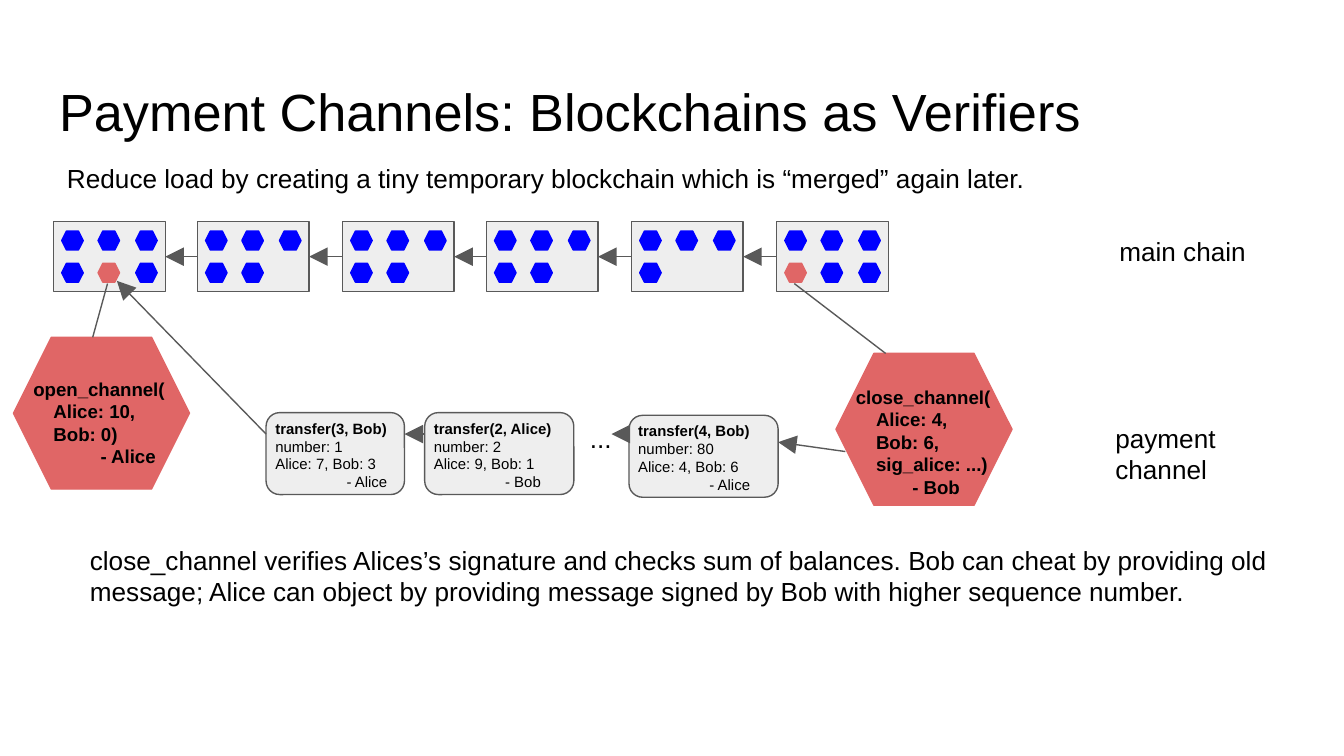
from dataclasses import dataclass
from lxml.etree import SubElement
from pptx import Presentation
from pptx.dml.color import RGBColor
from pptx.enum.shapes import MSO_CONNECTOR, MSO_SHAPE
from pptx.enum.text import MSO_ANCHOR, MSO_AUTO_SIZE, PP_ALIGN
from pptx.oxml.ns import qn
from pptx.util import Pt

SCALE = 9144


@dataclass(frozen=True)
class Theme:
    """Colours, font and type sizes of the slide."""
    ink: str = "000000"
    edge: str = "595959"
    pale: str = "EEEEEE"
    blue: str = "0000FF"
    red: str = "E06666"
    face: str = "Arial"
    head: int = 28
    body: int = 14
    call: int = 10
    small: int = 8
    rule: float = 0.75


THEME = Theme()


def px(n):
    """Turn px into EMU."""
    return n * SCALE


def style(item, form):
    """Set each attribute named in a dict of format values."""
    for name, value in form.items():
        setattr(item, name, value)


def write(frame, rows, size, bold=0):
    """Fill a frame with (text, indent) rows, the first few in bold."""
    pad = px(10)
    style(frame, dict(word_wrap=True, auto_size=MSO_AUTO_SIZE.NONE,
                      vertical_anchor=MSO_ANCHOR.TOP, margin_left=pad,
                      margin_top=pad, margin_right=pad, margin_bottom=pad))
    for i, (text, indent) in enumerate(rows):
        para = frame.add_paragraph() if i else frame.paragraphs[0]
        style(para, dict(text=text, alignment=PP_ALIGN.LEFT))
        if indent:
            para._p.get_or_add_pPr().set("marL", str(px(indent)))
        font = para.runs[0].font
        style(font, dict(size=Pt(size), name=THEME.face, bold=i < bold))
        font.color.rgb = RGBColor.from_string(THEME.ink)


def label(slide, box, rows, size, bold=0):
    """Add a text box."""
    area = slide.shapes.add_textbox(*map(px, box))
    write(area.text_frame, rows, size, bold)


def form(slide, kind, box, fill, edge):
    """Add a flat preset shape."""
    shape = slide.shapes.add_shape(kind, *map(px, box))
    shape.shadow.inherit = False
    shape.fill.solid()
    shape.fill.fore_color.rgb = RGBColor.from_string(fill)
    shape.line.color.rgb = RGBColor.from_string(edge)
    shape.line.width = Pt(THEME.rule)


def link(slide, start, end, arrow=True):
    """Join two points with a line, with an arrowhead at the end if asked."""
    wire = slide.shapes.add_connector(MSO_CONNECTOR.STRAIGHT,
                                      *map(px, start + end))
    wire.line.color.rgb = RGBColor.from_string(THEME.edge)
    wire.line.width = Pt(THEME.rule)
    if arrow:
        SubElement(wire.line._get_or_add_ln(), qn("a:tailEnd"),
                   type="triangle", w="lg", len="lg")
    SubElement(wire._element.spPr, qn("a:effectLst"))


def title(slide, box, text):
    """Move and fill the title placeholder."""
    head = slide.shapes.title
    style(head, dict(zip(("left", "top", "width", "height"), map(px, box))))
    write(head.text_frame, [(text, 0)], THEME.head)


def block(slide, box, count, mark):
    """Draw one block with its grid of transactions."""
    left, top, _, _ = box
    form(slide, MSO_SHAPE.RECTANGLE, box, THEME.pale, THEME.edge)
    for i in range(count):
        row, col = divmod(i, 3)
        tint = THEME.red if i == mark else THEME.blue
        spot = left + 6 + 55 * col // 2, top + 7 + 24 * row, 16, 14
        form(slide, MSO_SHAPE.HEXAGON, spot, tint, tint)


def chain(slide, box, blocks):
    """Draw the main chain, each block pointing to the one before."""
    left, top, width, height = box
    wide = 83
    mid = top + height // 2
    for i, (count, mark) in enumerate(blocks):
        x = left + (width - wide) * i // (len(blocks) - 1)
        block(slide, (x, top, wide, height), count, mark)
        if i:
            link(slide, (x, mid), (last, mid))
        last = x + wide


def call(slide, box, drop, rows):
    """Draw a contract call as a large hexagon with bold text."""
    left, top, width, _ = box
    form(slide, MSO_SHAPE.HEXAGON, box, THEME.red, THEME.red)
    label(slide, (left + 5, top + drop, width + 5, 93), rows,
          THEME.call, len(rows))


def transfer(slide, box, rows):
    """Draw a signed transfer message."""
    left, top, width, _ = box
    form(slide, MSO_SHAPE.ROUNDED_RECTANGLE, box, THEME.pale, THEME.edge)
    label(slide, (left - 3, top - 5, width + 9, 60), rows, THEME.small, 1)


def channel(slide, box):
    """Draw the payment channel from its opening to its closing call."""
    left, top, _, _ = box
    call(slide, (left, top, 131, 113), 20,
         [("open_channel(", 0), ("Alice: 10,", 15), ("Bob: 0)", 15),
          ("- Alice", 50)])
    call(slide, (left + 612, top + 12, 131, 113), 14,
         [("close_channel(", 0), ("Alice: 4,", 15), ("Bob: 6,", 15),
          ("sig_alice: ...)", 15), ("- Bob", 42)])
    notes = [(188, 56, 103, "3, Bob", "1", "7, Bob: 3", "Alice"),
             (306, 56, 111, "2, Alice", "2", "9, Bob: 1", "Bob"),
             (458, 58, 111, "4, Bob", "80", "4, Bob: 6", "Alice")]
    for x, y, wide, what, num, sums, who in notes:
        transfer(slide, (left + x, top + y, wide, 61),
                 [(f"transfer({what})", 0), (f"number: {num}", 0),
                  (f"Alice: {sums}", 0), (f"- {who}", 53)])
    label(slide, (left + 419, top + 53, 41, 22), [("...", 0)], THEME.body)
    wires = [((59, 0), (70, -40), False), ((581, -40), (649, 12), False),
             ((306, 72), (291, 72), True), ((458, 72), (445, 72), True),
             ((619, 85), (569, 78), True), ((188, 72), (77, -42), True)]
    for start, end, arrow in wires:
        ends = [(left + x, top + y) for x, y in (start, end)]
        link(slide, *ends, arrow)


def main():
    """Build and save the slide."""
    deck = Presentation()
    style(deck, dict(slide_width=px(1000), slide_height=px(1000) * 9 // 16))
    slide = deck.slides.add_slide(deck.slide_layouts[5])
    title(slide, (34, 49, 932, 63),
          "Payment Channels: Blockchains as Verifiers")
    chain(slide, (40, 165, 621, 52),
          [(6, 4), (5, None), (5, None), (5, None), (4, None), (6, 3)])
    channel(slide, (10, 251, 743, 125))
    texts = [
        ((40, 111, 926, 40), "Reduce load by creating a tiny temporary "
         "blockchain which is “merged” again later."),
        ((823, 165, 143, 52), "main chain"),
        ((820, 304, 143, 52), "payment channel"),
        ((57, 395, 905, 106), "close_channel verifies Alices’s signature and "
         "checks sum of balances. Bob can cheat by providing old message; "
         "Alice can object by providing message signed by Bob with higher "
         "sequence number."),
    ]
    for box, text in texts:
        label(slide, box, [(text, 0)], THEME.body)
    deck.save("out.pptx")


if __name__ == "__main__":
    main()
